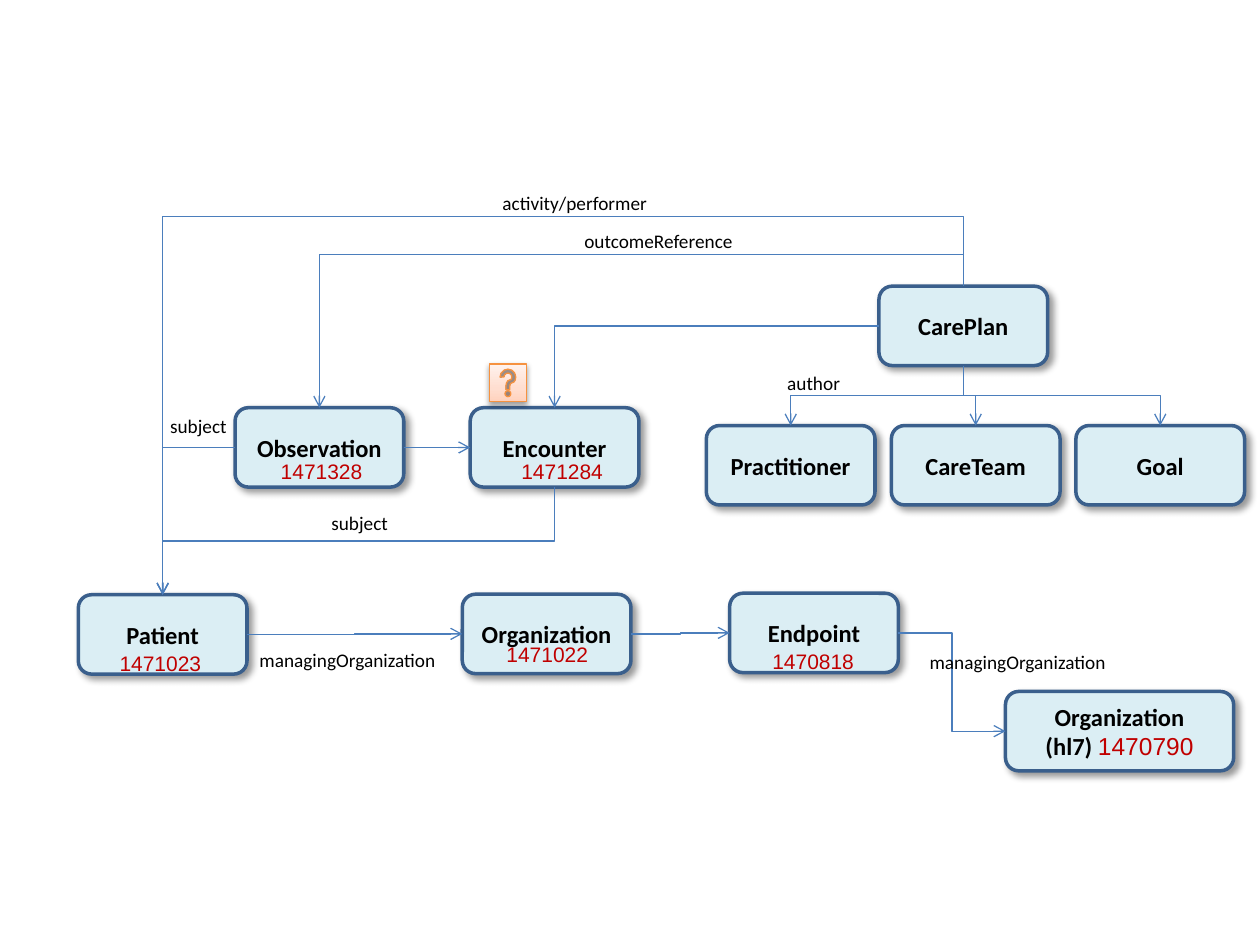
import copy
import pptx
import pptx.dml.color
import pptx.enum.shapes
import pptx.enum.text
import pptx.oxml
import pptx.oxml.ns
import pptx.util
from pptx.util import Cm

Pt = pptx.util.Pt
Shape = pptx.enum.shapes.MSO_SHAPE
Text = pptx.enum.text
RGB = pptx.dml.color.RGBColor.from_string
NS = pptx.oxml.ns.nsdecls("a")
HUE = {"box": "DBEEF4", "edge": "3A5F8C", "link": "4B7EBC", "text": "000000",
       "code": "C00000", "help": "F69240"}
TOP, LEFT, BOTTOM, RIGHT = range(4)


def shade(shape, blur, gap, angle, alpha):
    """Give a shape an outer shadow."""
    shape.shadow.inherit = False
    effects = shape._element.spPr.find(pptx.oxml.ns.qn("a:effectLst"))
    effects.append(pptx.oxml.parse_xml(
        f'<a:outerShdw {NS} blurRad="{Pt(blur)}" dist="{Pt(gap)}" '
        f'dir="{angle * 60000}" algn="ctr" rotWithShape="0">'
        f'<a:srgbClr val="000000"><a:alpha val="{alpha * 1000}"/>'
        '</a:srgbClr></a:outerShdw>'))


def style(font, name, size, hue, bold=False):
    font.name, font.size, font.bold = name, Pt(size), bold
    font.color.rgb = RGB(HUE[hue])


deck = pptx.Presentation()
deck.slide_width, deck.slide_height = Cm(25.4), Cm(19.05)
shapes = deck.slides.add_slide(deck.slide_layouts[6]).shapes

# Resource boxes: key, left, top, width
boxes = {}
for name, x, y, wide in [
    ("Patient", 1.58, 11.99, 3.4), ("Organization", 9.32, 11.98, 3.4),
    ("Endpoint", 14.71, 11.96, 3.4), ("Organization\n(hl7) ", 20.27, 13.94, 4.6),
    ("Observation", 4.74, 8.22, 3.4), ("Encounter", 9.48, 8.22, 3.4),
    ("CarePlan", 17.72, 5.77, 3.4), ("Practitioner", 14.24, 8.58, 3.4),
    ("CareTeam", 17.97, 8.58, 3.4), ("Goal", 21.69, 8.58, 3.4),
]:
    box = shapes.add_shape(Shape.ROUNDED_RECTANGLE, Cm(x), Cm(y), Cm(wide), Cm(1.6))
    box.fill.solid()
    box.fill.fore_color.rgb = RGB(HUE["box"])
    box.line.color.rgb = RGB(HUE["edge"])
    box.line.width = Pt(2)
    shade(box, 4, 3, 45, 40)
    frame = box.text_frame
    frame.text = name
    frame.vertical_anchor = Text.MSO_ANCHOR.MIDDLE
    for para in frame.paragraphs:
        para.alignment = Text.PP_ALIGN.CENTER
        style(para.font, "Calibri", 14, "text", True)
    boxes[name.replace("\n", " ").strip()] = box

host = boxes["Organization (hl7)"]
run = host.text_frame.paragraphs[1].add_run()
run.text = "1470790"
style(run.font, "Arial", 14, "code")

# Links: start, side, end, side, turn, flips, bends, height of the outer lane
for start, out, end, into, turn, flips, bends, lane in [
    ("Patient", RIGHT, "Organization", LEFT, 0, "V", 3, None),
    ("Organization", RIGHT, "Endpoint", LEFT, 0, "V", 3, None),
    ("Endpoint", RIGHT, "Organization (hl7)", LEFT, 0, "", 3, None),
    ("Observation", LEFT, "Patient", TOP, 180, "V", 2, None),
    ("Observation", RIGHT, "Encounter", LEFT, 0, "V", 3, None),
    ("Encounter", BOTTOM, "Patient", TOP, 90, "", 3, None),
    ("CarePlan", LEFT, "Encounter", TOP, 180, "V", 2, None),
    ("CarePlan", BOTTOM, "Practitioner", TOP, 90, "", 3, None),
    ("CarePlan", BOTTOM, "CareTeam", TOP, 270, "H", 3, None),
    ("CarePlan", BOTTOM, "Goal", TOP, 270, "H", 3, None),
    ("CarePlan", TOP, "Observation", TOP, 270, "HV", 3, 5.13),
    ("CarePlan", TOP, "Patient", TOP, 270, "HV", 3, 4.37),
]:
    link = shapes.add_connector(pptx.enum.shapes.MSO_CONNECTOR.ELBOW, 0, 0, 0, 0)
    link.begin_connect(boxes[start], out)
    link.end_connect(boxes[end], into)
    x1, y1, x2, y2 = link.begin_x, link.begin_y, link.end_x, link.end_y
    wide, high = abs(x2 - x1), abs(y2 - y1)
    if turn in (90, 270):
        wide, high = high, wide
    link.left, link.top = (x1 + x2 - wide) // 2, (y1 + y2 - high) // 2
    link.width, link.height = wide, high
    props = link._element.spPr
    for axis in "HV":
        props.xfrm.set("flip" + axis, str(int(axis in flips)))
    props.xfrm.set("rot", str(turn * 60000))
    geom = props.find(pptx.oxml.ns.qn("a:prstGeom"))
    geom.set("prst", f"bentConnector{bends}")
    if lane:
        bend = round((Cm(lane) - y1) / (y2 - y1) * 100000)
        geom.get_or_add_avLst().append(pptx.oxml.parse_xml(
            f'<a:gd {NS} name="adj1" fmla="val {bend}"/>'))
    link.line.color.rgb = RGB(HUE["link"])
    link.line.width = Pt(0.75)
    link.line._get_or_add_ln().append(
        pptx.oxml.parse_xml(f'<a:tailEnd {NS} type="arrow"/>'))
    props.append(pptx.oxml.parse_xml(f"<a:effectLst {NS}/>"))

# Link names and record numbers: text, left, top, width
for words, x, y, wide in [
    ("activity/performer", 9.88, 3.73, 3.45), ("outcomeReference", 11.53, 4.5, 3.56),
    ("author", 15.62, 7.37, 1.57), ("subject", 3.18, 8.23, 1.65),
    ("subject", 6.43, 10.19, 1.65), ("managingOrganization", 4.98, 12.95, 4.09),
    ("managingOrganization", 18.49, 12.98, 4.09),
    ("1471023", 2.16, 12.98, 2.16), ("1471022", 9.96, 12.8, 2.16),
    ("1470818", 15.32, 12.95, 2.16), ("1471328", 5.41, 9.12, 2.16),
    ("1471284", 10.26, 9.12, 2.16),
]:
    note = shapes.add_textbox(Cm(x), Cm(y), Cm(wide), Cm(0.75))
    frame = note.text_frame
    frame.word_wrap = False
    frame.auto_size = Text.MSO_AUTO_SIZE.SHAPE_TO_FIT_TEXT
    frame.text = words
    look = ("Arial", 12, "code") if words.isdigit() else ("Calibri", 11, "text")
    style(frame.paragraphs[0].font, *look)

# Question mark at Encounter
icon = shapes.add_shape(Shape.ACTION_BUTTON_HELP, Cm(9.87), Cm(7.34), Cm(0.74), Cm(0.76))
icon.fill.gradient()
icon.fill.gradient_angle = 90
stops = icon._element.spPr.find(".//" + pptx.oxml.ns.qn("a:gsLst"))
stops.append(copy.deepcopy(stops[0]))
for stop, (spot, tint) in zip(icon.fill.gradient_stops,
                              [(0, "FFD2BD"), (0.35, "FFDED0"), (1, "FFF2ED")]):
    stop.position = spot
    stop.color.rgb = RGB(tint)
icon.line.color.rgb = RGB(HUE["help"])
icon.line.width = Pt(0.75)
shade(icon, 3.1, 1.6, 90, 38)

deck.save("out.pptx")
